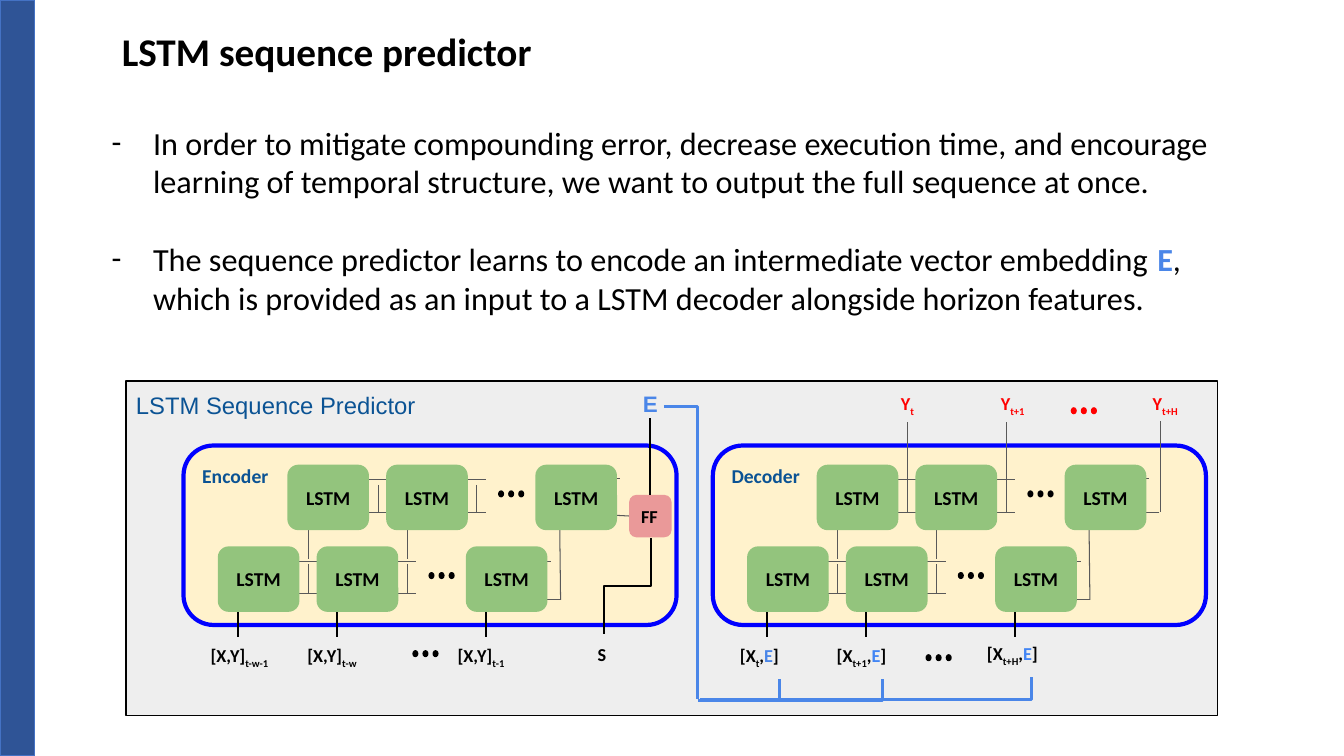
import dataclasses
import lxml.etree
import pptx
import pptx.dml.color
import pptx.enum.shapes
import pptx.enum.text
import pptx.oxml.ns
import pptx.util

Inches = pptx.util.Inches
SHAPES = pptx.enum.shapes.MSO_SHAPE
CONNECTORS = pptx.enum.shapes.MSO_CONNECTOR
ALIGN = pptx.enum.text.PP_ALIGN
ANCHOR = pptx.enum.text.MSO_ANCHOR


@dataclasses.dataclass(frozen=True)
class Theme:
    font: str = "Calibri"
    diagram_font: str = "Arial"
    black: str = "000000"
    navy: str = "0B5394"
    embedding: str = "4A86E8"
    embedding_alt: str = "4285F4"
    output: str = "FF0000"
    wire: str = "595959"
    sidebar: str = "2F5496"
    sidebar_edge: str = "4472C4"
    board: str = "EEEEEE"
    module: str = "FFF2CC"
    module_edge: str = "0000FF"
    cell: str = "93C47D"
    feed_forward: str = "EA9999"
    title_size: float = 28
    body_size: float = 23
    board_size: float = 17
    embedding_size: float = 16
    cell_size: float = 14
    label_size: float = 13


theme = Theme()

title = "LSTM sequence predictor"
bullets = [
    [("In order to mitigate compounding error, decrease execution time, and encourage "
      "learning of temporal structure, we want to output the full sequence at once.", theme.black, False)],
    [("The sequence predictor learns to encode an intermediate vector embedding ", theme.black, False),
     ("E", theme.embedding, True),
     (", which is provided as an input to a LSTM decoder alongside horizon features.", theme.black, False)],
]
modules = [("Encoder", 1.82, 4.81, 5.12), ("Decoder", 7.07, 4.19, 5.08)]
history_labels = [("t-w-1", 1.99, 1), ("t-w", 2.95, 1.09), ("t-1", 4.44, 1.09)]
horizon_labels = [("t", 7.24, 6.32, 1, theme.embedding),
                  ("t+1", 8.2, 6.32, 1.09, theme.embedding_alt),
                  ("t+H", 9.69, 6.3, 1.09, theme.embedding_alt)]
output_labels = [("t", 8.73, ALIGN.CENTER), ("t+1", 9.72, ALIGN.RIGHT), ("t+H", 11.24, ALIGN.RIGHT)]
label_dots = [(4.09, 6.45, theme.black), (9.18, 6.49, theme.black), (10.62, 4.04, theme.output)]
embedding_paths = [
    (5.3, 5.32, 2.9, 0.33, 270, "bentConnector3", 0),
    (6.94, 6.74, 0.79, 0.21, 180, "bentConnector2", None),
    (6.92, 6.74, 1.83, 0.21, 180, "bentConnector2", None),
    (6.94, 6.72, 3.29, 0.22, 180, "bentConnector2", None),
]

lower_columns = [0.34, 1.32, 2.8]
upper_shift = 0.69
lower_top, upper_top = 5.42, 4.61
cell_width, cell_height = 0.81, 0.65
label_height = 0.42

deck = pptx.Presentation()
deck.slide_width, deck.slide_height = Inches(13.33), Inches(7.5)
slide = deck.slides.add_slide(deck.slide_layouts[6])


def rgb(color):
    return pptx.dml.color.RGBColor.from_string(color)


def add_run(paragraph, words, size, color=theme.black, bold=True, font=theme.font, subscript=False):
    run = paragraph.add_run()
    run.text = words
    run.font.size, run.font.bold, run.font.name = pptx.util.Pt(size), bold, font
    run.font.color.rgb = rgb(color)
    if subscript:
        run.font._element.set("baseline", "-25000")


def prepare(frame, align=ALIGN.LEFT, anchor=ANCHOR.TOP, side=0.1, vertical=0.1):
    frame.word_wrap, frame.vertical_anchor = True, anchor
    frame.margin_left = frame.margin_right = Inches(side)
    frame.margin_top = frame.margin_bottom = Inches(vertical)
    frame.paragraphs[0].alignment = align
    return frame.paragraphs[0]


def block(kind, left, top, width, height, fill, edge=None, weight=0.75):
    shape = slide.shapes.add_shape(kind, Inches(left), Inches(top), Inches(width), Inches(height))
    shape.shadow.inherit = False
    shape.fill.solid()
    shape.fill.fore_color.rgb = rgb(fill)
    if edge:
        shape.line.color.rgb, shape.line.width = rgb(edge), pptx.util.Pt(weight)
    else:
        shape.line.fill.background()
    return shape.text_frame


def textbox(left, top, width, height):
    return slide.shapes.add_textbox(Inches(left), Inches(top), Inches(width), Inches(height)).text_frame


def label(left, top, width, align=ALIGN.LEFT):
    return prepare(textbox(left, top, width, label_height), align, ANCHOR.BOTTOM)


def wire(x1, y1, x2, y2, color=theme.wire, weight=0.75, kind=CONNECTORS.STRAIGHT):
    line = slide.shapes.add_connector(kind, Inches(x1), Inches(y1), Inches(x2), Inches(y2))
    line.line.color.rgb, line.line.width = rgb(color), pptx.util.Pt(weight)
    lxml.etree.SubElement(line._element.spPr, pptx.oxml.ns.qn("a:effectLst"))
    return line


def elbow(left, top, width, height, turn, preset, bend, color, weight, flip):
    start, end = (left + width, left) if flip else (left, left + width)
    line = wire(start, top, end, top + height, color, weight, CONNECTORS.ELBOW)
    properties = line._element.spPr
    properties.find(pptx.oxml.ns.qn("a:xfrm")).set("rot", str(turn * 60000))
    geometry = properties.find(pptx.oxml.ns.qn("a:prstGeom"))
    geometry.set("prst", preset)
    if bend is not None:
        guides = geometry.find(pptx.oxml.ns.qn("a:avLst"))
        if guides is None:
            guides = lxml.etree.SubElement(geometry, pptx.oxml.ns.qn("a:avLst"))
        lxml.etree.SubElement(guides, pptx.oxml.ns.qn("a:gd"), name="adj1", fmla=f"val {bend}")


def dots(left, top, color=theme.black):
    for step in range(3):
        block(SHAPES.OVAL, left + 0.1 * step, top, 0.06, 0.07, color)


def add_module(name, left, tap_top, exit_y):
    frame = block(SHAPES.ROUNDED_RECTANGLE, left, 4.42, 4.89, 1.78, theme.module, theme.module_edge, 3)
    add_run(prepare(frame), name, theme.cell_size, theme.navy)
    lower = [left + column for column in lower_columns]
    upper = [x + upper_shift for x in lower]
    for x, above in zip(lower[:2], upper[:2]):
        for cell_left, cell_top in ((x, lower_top), (above, upper_top)):
            for drop in (0.15, 0.47):
                wire(cell_left + 0.8, cell_top + drop, cell_left + 0.99, cell_top + drop)
        for start, end in ((5.28, 5.52), (5.26, 5.55), (5.6, 5.89)):
            wire(x + 0.9, start, x + 0.9, end)
        wire(above + 0.9, tap_top, above + 0.9, 5.08)
    last = lower[2]
    wire(last + 0.76, 5.95, last + 0.94, 5.95)
    wire(last + 0.66, 5.57, last + 0.85, 5.57)
    wire(last + 0.93, 5.1, last + 0.94, 5.95)
    wire(last + 1.34, 4.75, last + 1.53, 4.75)
    wire(left + 4.43, exit_y, left + 3.68, 5.08)
    for x in lower:
        wire(x + 0.2, 6.07, x + 0.2, 6.32, theme.black, 1.5)
    for columns, top in ((lower, lower_top), (upper, upper_top)):
        for x in columns:
            cell = block(SHAPES.ROUNDED_RECTANGLE, x, top, cell_width, cell_height, theme.cell)
            add_run(prepare(cell, ALIGN.CENTER, ANCHOR.MIDDLE), "LSTM", theme.cell_size)
        dots(columns[1] + 1.11, top + 0.255)


block(SHAPES.RECTANGLE, 0, 0, 0.34, 7.5, theme.sidebar, theme.sidebar_edge, 1)
heading = prepare(textbox(0.92, 0.27, 11.5, 0.87), vertical=0.05)
heading._p.get_or_add_pPr().set("marL", str(Inches(0.25)))
heading._p.get_or_add_pPr().set("indent", str(Inches(-0.06)))
heading.line_spacing = 0.9
add_run(heading, title, theme.title_size)

board = block(SHAPES.RECTANGLE, 1.25, 3.78, 10.83, 3.32, theme.board, theme.black)
add_run(prepare(board), "LSTM Sequence Predictor", theme.board_size, theme.navy, False, theme.diagram_font)
for module in modules:
    add_module(*module)

for subscript, left, width in history_labels:
    history = label(left, 6.32, width)
    add_run(history, "[X,Y]", theme.label_size)
    add_run(history, subscript, theme.label_size, subscript=True)
for subscript, left, top, width, color in horizon_labels:
    horizon = label(left, top, width)
    add_run(horizon, "[X", theme.label_size)
    add_run(horizon, subscript, theme.label_size, subscript=True)
    add_run(horizon, ",", theme.label_size)
    add_run(horizon, "E", theme.label_size, color)
    add_run(horizon, "]", theme.label_size)
for subscript, left, align in output_labels:
    output = label(left, 3.82, 0.54, align)
    add_run(output, "Y", theme.label_size, theme.output)
    add_run(output, subscript, theme.label_size, theme.output, subscript=True)
for ellipsis in label_dots:
    dots(*ellipsis)

add_run(label(6.18, 3.82, 0.54, ALIGN.CENTER), "E", theme.embedding_size, theme.embedding, font=theme.diagram_font)
add_run(label(5.83, 6.28, 0.34), "S", theme.label_size)
feed_forward = block(SHAPES.ROUNDED_RECTANGLE, 6.24, 4.91, 0.42, 0.42, theme.feed_forward)
add_run(prepare(feed_forward, anchor=ANCHOR.MIDDLE), "FF", theme.label_size)
wire(6.45, 4.15, 6.45, 4.91, theme.black, 1.5)
elbow(5.75, 5.58, 0.95, 0.46, 270, "bentConnector3", 50000, theme.black, 1.5, False)
wire(11.51, 4.18, 11.51, 5.08)
for route in embedding_paths:
    elbow(*route, theme.embedding, 2.25, True)

body = textbox(0.92, 1.12, 11.5, 2.14)
prepare(body)
for index, bullet in enumerate(bullets):
    point = body.add_paragraph() if index else body.paragraphs[0]
    layout = point._p.get_or_add_pPr()
    layout.set("marL", str(Inches(0.5)))
    layout.set("indent", str(Inches(-0.41)))
    if index:
        point.space_before = pptx.util.Pt(28)
    tint = lxml.etree.SubElement(layout, pptx.oxml.ns.qn("a:buClr"))
    lxml.etree.SubElement(tint, pptx.oxml.ns.qn("a:srgbClr"), val=theme.black)
    lxml.etree.SubElement(layout, pptx.oxml.ns.qn("a:buFont"), typeface=theme.font)
    lxml.etree.SubElement(layout, pptx.oxml.ns.qn("a:buChar"), char="-")
    for words, color, bold in bullet:
        add_run(point, words, theme.body_size, color, bold)

deck.save("out.pptx")
